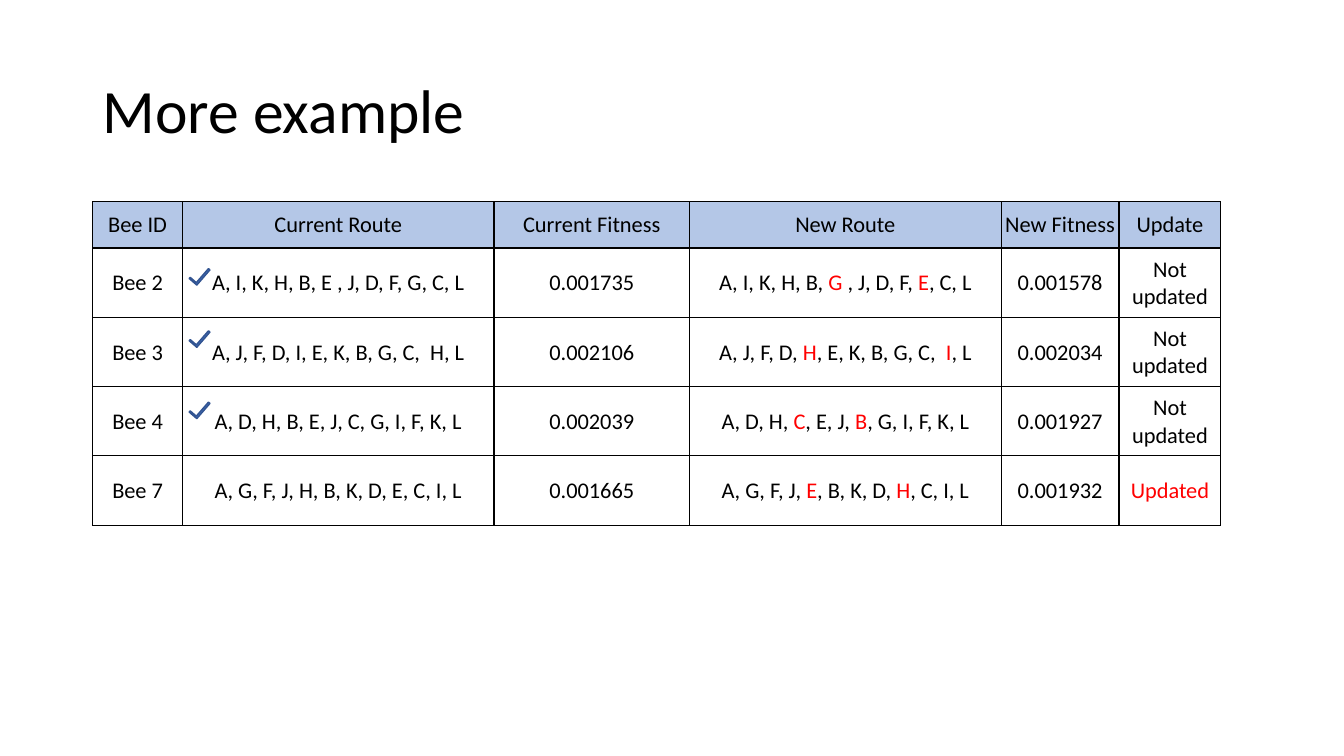
import dataclasses

import lxml.etree
import pptx
import pptx.dml.color
import pptx.enum.shapes
import pptx.enum.text
import pptx.oxml.ns
import pptx.util


@dataclasses.dataclass(frozen=True)
class Theme:
    font: str = "Calibri"
    title_size: int = 44
    table_size: int = 16
    line_width: float = 1
    text: str = "000000"
    changed: str = "FF0000"
    header_fill: str = "B4C7E7"
    border: str = "000000"
    tick_fill: str = "4472C4"
    tick_line: str = "325491"


THEME = Theme()
SLIDE_SIZE = (13.33, 7.5)
TITLE_BOX = (0.92, 0.4, 11.5, 1.45)
TABLE_BOX = (0.92, 2, 11.19, 3.21)
COLUMN_WIDTHS = (0.89, 3.09, 1.94, 3.09, 1.17, 1.01)
HEADER_HEIGHT = 0.46
TICK_SIZE = (0.2, 0.1)
TICK_INDENT = 0.07
TICK_ROTATION = 310.9
TICK_DROPS = (0.21, 0.14, 0.16)  # below the top of each body row

HEADER = ("Bee ID", "Current Route", "Current Fitness", "New Route", "New Fitness", "Update")
# Asterisks enclose the text shown in the changed colour.
BEES = (
    ("Bee 2", "A, I, K, H, B, E , J, D, F, G, C, L", "0.001735",
     "A, I, K, H, B, *G* , J, D, F, *E*, C, L", "0.001578", "Not updated"),
    ("Bee 3", "A, J, F, D, I, E, K, B, G, C,  H, L", "0.002106",
     "A, J, F, D, *H*, E, K, B, G, C,  *I*, L", "0.002034", "Not updated"),
    ("Bee 4", "A, D, H, B, E, J, C, G, I, F, K, L", "0.002039",
     "A, D, H, *C*, E, J, *B*, G, I, F, K, L", "0.001927", "Not updated"),
    ("Bee 7", "A, G, F, J, H, B, K, D, E, C, I, L", "0.001665",
     "A, G, F, J, *E*, B, K, D, *H*, C, I, L", "0.001932", "*Updated*"),
)


def inches(lengths):
    return [pptx.util.Inches(length) for length in lengths]


def rgb(color):
    return pptx.dml.color.RGBColor.from_string(color)


def add_run(paragraph, text, size, color):
    run = paragraph.add_run()
    run.text = text
    run.font.name = THEME.font
    run.font.size = pptx.util.Pt(size)
    run.font.bold = False
    run.font.color.rgb = rgb(color)


def place_title(slide, box):
    title = slide.shapes.title
    title.left, title.top, title.width, title.height = inches(box)
    frame = title.text_frame
    frame.word_wrap = True
    frame.vertical_anchor = pptx.enum.text.MSO_ANCHOR.MIDDLE
    paragraph = frame.paragraphs[0]
    paragraph.alignment = pptx.enum.text.PP_ALIGN.LEFT
    paragraph.line_spacing = 0.9
    add_run(paragraph, "More example", THEME.title_size, THEME.text)


def add_borders(cell):
    """Draw all four edges; lines must precede the fill in the cell properties."""
    qualified = pptx.oxml.ns.qn
    properties = cell._tc.get_or_add_tcPr()
    for position, edge in enumerate(("lnL", "lnR", "lnT", "lnB")):
        line = lxml.etree.Element(qualified(f"a:{edge}"), w=str(pptx.util.Pt(THEME.line_width)))
        fill = lxml.etree.SubElement(line, qualified("a:solidFill"))
        lxml.etree.SubElement(fill, qualified("a:srgbClr"), val=THEME.border)
        properties.insert(position, line)


def fill_cell(cell, text, is_header):
    cell.margin_left, cell.margin_right, cell.margin_top, cell.margin_bottom = inches(
        (0.01, 0.01, 0.01, 0))
    cell.vertical_anchor = pptx.enum.text.MSO_ANCHOR.MIDDLE
    if is_header:
        cell.fill.solid()
        cell.fill.fore_color.rgb = rgb(THEME.header_fill)
    else:
        cell.fill.background()
    add_borders(cell)
    paragraph = cell.text_frame.paragraphs[0]
    paragraph.alignment = pptx.enum.text.PP_ALIGN.CENTER
    for index, part in enumerate(text.split("*")):
        if part:
            color = THEME.changed if index % 2 else THEME.text
            add_run(paragraph, part, THEME.table_size, color)


def place_bee_table(slide, box, row_height):
    rows = (HEADER, *BEES)
    table = slide.shapes.add_table(len(rows), len(HEADER), *inches(box)).table
    table.first_row = table.horz_banding = False
    for column, width in zip(table.columns, COLUMN_WIDTHS):
        column.width = pptx.util.Inches(width)
    for row_index, texts in enumerate(rows):
        height = row_height if row_index else HEADER_HEIGHT
        table.rows[row_index].height = pptx.util.Inches(height)
        for column_index, text in enumerate(texts):
            fill_cell(table.cell(row_index, column_index), text, row_index == 0)


def place_ticks(slide, box, row_height):
    """Mark the current routes that were kept."""
    left = box[0] + COLUMN_WIDTHS[0] + TICK_INDENT
    for row_index, drop in enumerate(TICK_DROPS):
        top = box[1] + HEADER_HEIGHT + row_index * row_height + drop
        tick = slide.shapes.add_shape(
            pptx.enum.shapes.MSO_SHAPE.CORNER, *inches((left, top, *TICK_SIZE)))
        tick.adjustments[0], tick.adjustments[1] = 0.2, 0.16
        tick.rotation = TICK_ROTATION
        tick.shadow.inherit = False
        tick.fill.solid()
        tick.fill.fore_color.rgb = rgb(THEME.tick_fill)
        tick.line.color.rgb = rgb(THEME.tick_line)
        tick.line.width = pptx.util.Pt(THEME.line_width)


def build_example_slide(presentation):
    title_only = presentation.slide_layouts.get_by_name("Title Only")
    slide = presentation.slides.add_slide(title_only)
    row_height = (TABLE_BOX[3] - HEADER_HEIGHT) / len(BEES)
    place_title(slide, TITLE_BOX)
    place_bee_table(slide, TABLE_BOX, row_height)
    place_ticks(slide, TABLE_BOX, row_height)


def main():
    presentation = pptx.Presentation()
    presentation.slide_width, presentation.slide_height = inches(SLIDE_SIZE)
    build_example_slide(presentation)
    presentation.save("out.pptx")


if __name__ == "__main__":
    main()
